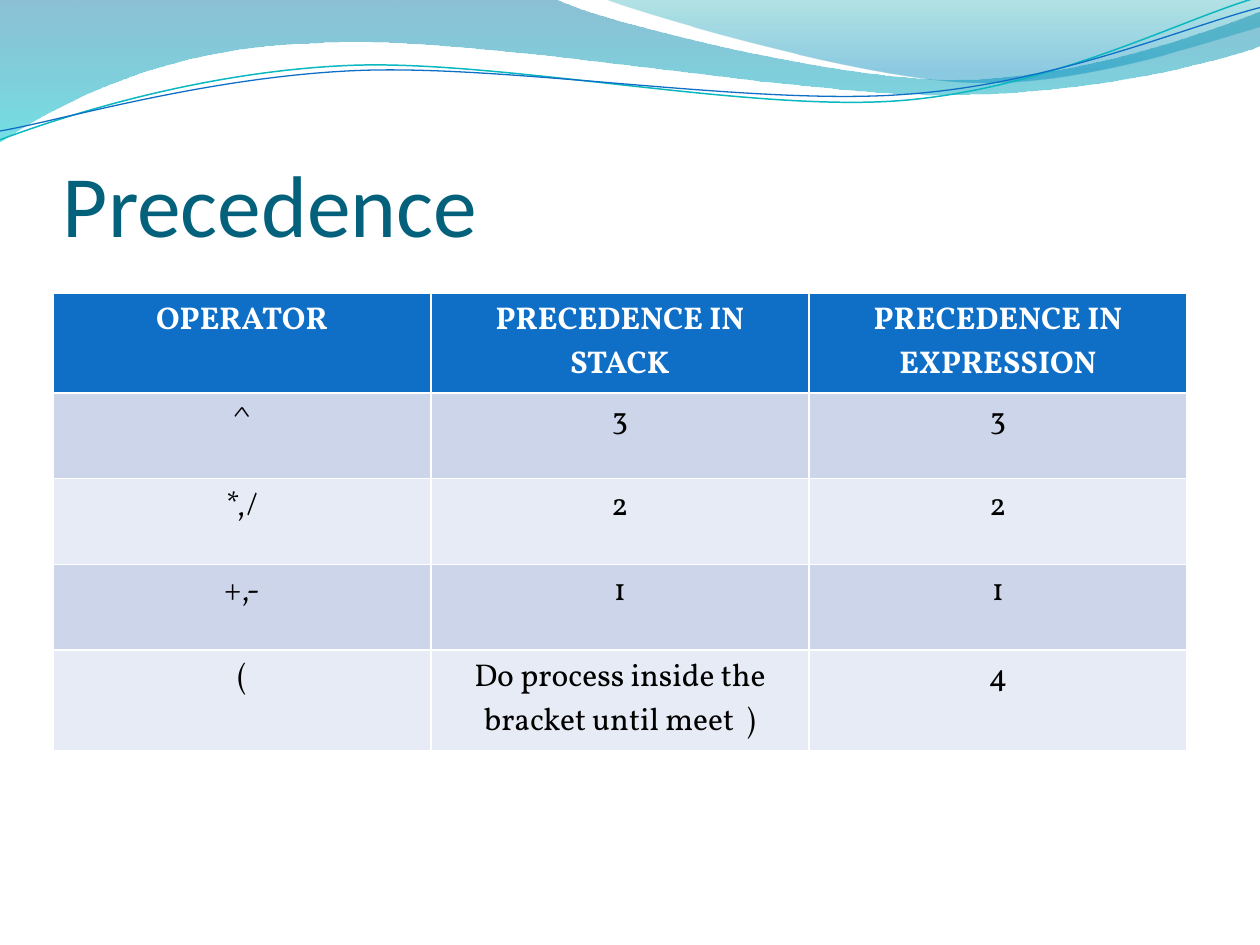
import math

from lxml import etree
from pptx import Presentation
from pptx import util as u
from pptx.dml.color import RGBColor
from pptx.enum import text
from pptx.oxml import ns

COLORS = {
    "title": "04617B", "header": "0F6FC6", "odd_row": "CCD5EA", "even_row": "E7EBF5",
    "white": "FFFFFF", "black": "000000", "wave_top": "0074A1", "wave_bottom": "00C6CF",
    "crest_top": "00A1A9", "crest_bottom": "008BBF", "teal_line": "0AB8BF",
}

presentation = Presentation()
presentation.slide_width = u.Inches(10)
presentation.slide_height = u.Inches(7.5)
slide = presentation.slides.add_slide(presentation.slide_layouts[6])


def color(name):
    return RGBColor.from_string(COLORS[name])


def add_outline(box, segments, close, rotation=0):
    """Draw segments of one point (line) or three points (Bezier curve), in inches."""
    left, top, width, height = box
    center_x, center_y = left + width / 2, top + height / 2
    cos, sin = math.cos(math.radians(-rotation)), math.sin(math.radians(-rotation))
    # Turn the points back, so that the shape's rotation brings them into place
    turned = [[(u.Inches(center_x + (x - center_x) * cos - (y - center_y) * sin),
                u.Inches(center_y + (x - center_x) * sin + (y - center_y) * cos))
               for x, y in segment] for segment in segments]
    builder = slide.shapes.build_freeform(*turned[0][0])
    builder.add_line_segments([segment[-1] for segment in turned[1:]], close=close)
    shape = builder.convert_to_shape()
    shape.shadow.inherit = False
    shape.left, shape.top, shape.width, shape.height = map(u.Inches, box)
    shape.rotation = rotation

    # Place the outline in its box and bend the curved segments
    outline = shape._element.xpath(".//a:pathLst/a:path")[0]
    outline.set("w", str(shape.width))
    outline.set("h", str(shape.height))
    for node, segment in zip(outline.xpath("a:moveTo | a:lnTo"), turned):
        if len(segment) == 3:
            curve = etree.Element(ns.qn("a:cubicBezTo"))
            outline.replace(node, curve)
            node = curve
        for point in list(node):
            node.remove(point)
        for x, y in segment:
            etree.SubElement(node, ns.qn("a:pt"), x=str(x - shape.left), y=str(y - shape.top))
    return shape


# Translucent waves: box, outline, then (position, color, opacity in percent) stops
waves = [
    ((-0.01, -0.01, 10.02, 1.14),
     [[(0, 0)], [(4.4, -0.01)],
      [(4.76, 0.17), (6.64, 0.63), (7.58, 0.63)], [(8.53, 0.63), (9.58, 0.26), (10, 0.09)],
      [(10.01, 0.36)],
      [(9.83, 0.44), (8.7, 0.76), (7.46, 0.75)], [(6.22, 0.75), (3.82, 0.28), (2.57, 0.34)],
      [(1.29, 0.36), (0.46, 0.83), (-0.01, 1.13)]],
     [(0, "wave_top", 45), (1, "wave_bottom", 55)]),
    ((4.79, -0.01, 5.21, 0.7),
     [[(4.79, -0.01)],
      [(5.09, 0.11), (6.82, 0.62), (7.69, 0.65)], [(8.56, 0.69), (9.61, 0.32), (10, 0.21)],
      [(10, 0)]],
     [(0, "crest_top", 30), (0.8, "crest_bottom", 45)]),
]
for box, segments, stops in waves:
    wave = add_outline(box, segments, close=True)
    wave.line.fill.background()
    wave.fill.gradient()
    wave.fill.gradient_angle = 270
    for stop, (position, name, _) in zip(wave.fill.gradient_stops, stops):
        stop.position = position
        stop.color.rgb = color(name)
    for node, (_, _, opacity) in zip(wave._element.xpath(".//a:gs/a:srgbClr"), stops):
        etree.SubElement(node, ns.qn("a:alpha")).set("val", str(opacity * 1000))

# Thin wave lines
wave_lines = [
    ((-0.02, 0.22, 10.02, 0.71),
     [[(0, 1.11)],
      [(0.48, 0.93), (1.58, 0.57), (2.77, 0.52)], [(3.95, 0.47), (5.93, 0.89), (7.13, 0.8)],
      [(8.33, 0.71), (9.38, 0.15), (9.98, -0.02)]], "teal_line", 0.85),
    ((-0.02, 0.3, 10.03, 0.58),
     [[(0, 1.04)],
      [(0.47, 0.96), (1.64, 0.61), (2.83, 0.56)], [(4.03, 0.51), (5.97, 0.84), (7.17, 0.75)],
      [(8.36, 0.67), (9.41, 0.21), (10, 0.06)]], "header", 0.75),
]
for box, segments, name, width in wave_lines:
    wave_line = add_outline(box, segments, close=False, rotation=357.3)
    wave_line.fill.background()
    wave_line.line.color.rgb = color(name)
    wave_line.line.width = u.Pt(width)

# Title
title = slide.shapes.add_textbox(u.Inches(0.5), u.Inches(0.77), u.Inches(9), u.Inches(1.25))
frame = title.text_frame
frame.word_wrap = True
frame.vertical_anchor = text.MSO_ANCHOR.BOTTOM
frame.margin_left = frame.margin_right = frame.margin_bottom = 0
frame.margin_top = u.Inches(0.05)
frame.text = "Precedence"
font = frame.paragraphs[0].runs[0].font
font.name = "Calibri"
font.size = u.Pt(50)
font.color.rgb = color("title")

# Precedence table; its default style draws the white rules
rows = [
    (0.79, "OPERATOR", "PRECEDENCE IN STACK", "PRECEDENCE IN EXPRESSION"),
    (0.68, "^", "3", "3"),
    (0.68, "*,/", "2", "2"),
    (0.68, "+,-", "1", "1"),
    (0.8, "(", "Do process inside the bracket until meet  )", "4"),
]
table = slide.shapes.add_table(len(rows), 3, u.Inches(0.42), u.Inches(2.33),
                               u.Inches(9), u.Inches(sum(row[0] for row in rows))).table
for column in table.columns:
    column.width = u.Inches(3)
for row_index, (height, *values) in enumerate(rows):
    is_header = row_index == 0
    table.rows[row_index].height = u.Inches(height)
    fill_name = "header" if is_header else ("even_row", "odd_row")[row_index % 2]
    for column_index, value in enumerate(values):
        cell = table.cell(row_index, column_index)
        cell.fill.solid()
        cell.fill.fore_color.rgb = color(fill_name)
        cell.text_frame.text = value
        paragraph = cell.text_frame.paragraphs[0]
        paragraph.alignment = text.PP_ALIGN.CENTER
        font = paragraph.runs[0].font
        font.name = "Vollkorn"
        font.size = u.Pt(18)
        font.bold = is_header
        font.color.rgb = color("white" if is_header else "black")

presentation.save("out.pptx")
